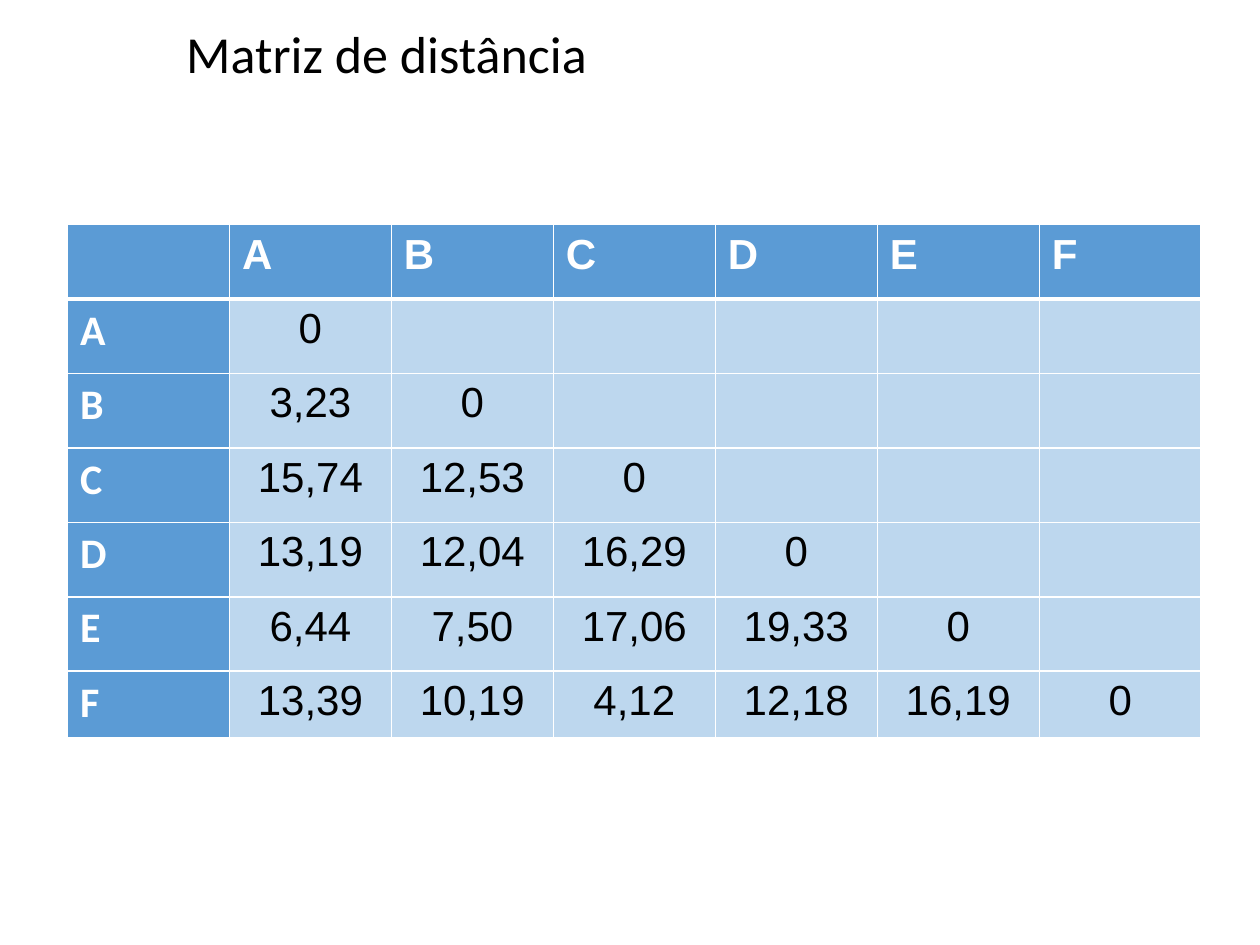
from lxml.etree import SubElement as Sub
from pptx import Presentation
from pptx.dml.color import RGBColor as RGB
from pptx.enum.text import MSO_ANCHOR as Anchor, PP_ALIGN as Align
from pptx.oxml.ns import qn
from pptx.util import Cm, Pt

BLUE = RGB(0x5B, 0x9B, 0xD5)
PALE = RGB(0xBD, 0xD7, 0xEE)
WHITE = RGB(0xFF, 0xFF, 0xFF)
BLACK = RGB(0x00, 0x00, 0x00)

NAMES = "ABCDEF"
# Lower triangle of the matrix, without the zero diagonal
DISTS = [
    [],
    ["3,23"],
    ["15,74", "12,53"],
    ["13,19", "12,04", "16,29"],
    ["6,44", "7,50", "17,06", "19,33"],
    ["13,39", "10,19", "4,12", "12,18", "16,19"],
]


class Deck:
    head, body = "Calibri", "Arial"
    size = 24

    def __init__(self):
        self.prs = Presentation()
        self.prs.slide_width, self.prs.slide_height = Cm(25.4), Cm(19.05)
        self.slide = self.prs.slides.add_slide(self.prs.slide_layouts[5])

    def style(self, para, font, size, color, bold=False, align=Align.LEFT):
        para.alignment = align
        for run in para.runs:
            run.font.name, run.font.size = font, Pt(size)
            run.font.color.rgb, run.font.bold = color, bold

    def title(self, text, x, y, w, h):
        box = self.slide.shapes.title
        box.left, box.top, box.width, box.height = Cm(x), Cm(y), Cm(w), Cm(h)
        frame = box.text_frame
        frame.text = text
        frame.vertical_anchor = Anchor.MIDDLE
        para = frame.paragraphs[0]
        para.line_spacing = 0.9
        self.style(para, self.head, 29.7, BLACK)

    def edge(self, cell, side, width):
        props = cell._tc.get_or_add_tcPr()
        line = Sub(props, qn("a:ln" + side), w=str(Pt(width)))
        fill = Sub(line, qn("a:solidFill"))
        Sub(fill, qn("a:srgbClr"), val=str(WHITE))

    def cell(self, cell, text, row, col):
        # Borders come before the fill; a thick rule closes the header
        for side in "LRTB":
            thick = (row, side) in ((0, "B"), (1, "T"))
            self.edge(cell, side, 3 if thick else 1)
        label = row == 0 or col == 0
        cell.fill.solid()
        cell.fill.fore_color.rgb = BLUE if label else PALE
        if not text:
            return
        cell.text_frame.text = text
        self.style(
            cell.text_frame.paragraphs[0],
            self.head if col == 0 else self.body,
            self.size,
            WHITE if label else BLACK,
            bold=label,
            align=Align.LEFT if label else Align.CENTER,
        )

    def table(self, grid, x, y, w, tall, last):
        rows, cols = len(grid), len(grid[0])
        high = tall * (rows - 1) + last
        table = self.slide.shapes.add_table(
            rows, cols, Cm(x), Cm(y), Cm(w), Cm(high)).table
        for col in table.columns:
            col.width = Cm(w / cols)
        for r, texts in enumerate(grid):
            table.rows[r].height = Cm(tall if r < rows - 1 else last)
            for c, text in enumerate(texts):
                self.cell(table.cell(r, c), text, r, c)


def main():
    deck = Deck()

    # Title
    deck.title("Matriz de distância", 3.5, 0.58, 21.9, 1.12)

    # Distance matrix: header row, then label, distances, zero and blanks
    grid = [["", *NAMES]]
    for name, dists in zip(NAMES, DISTS):
        blanks = [""] * (len(NAMES) - len(dists) - 1)
        grid.append([name, *dists, "0", *blanks])
    deck.table(grid, 1.36, 4.53, 22.86, tall=1.5, last=1.35)

    deck.prs.save("out.pptx")


if __name__ == "__main__":
    main()
